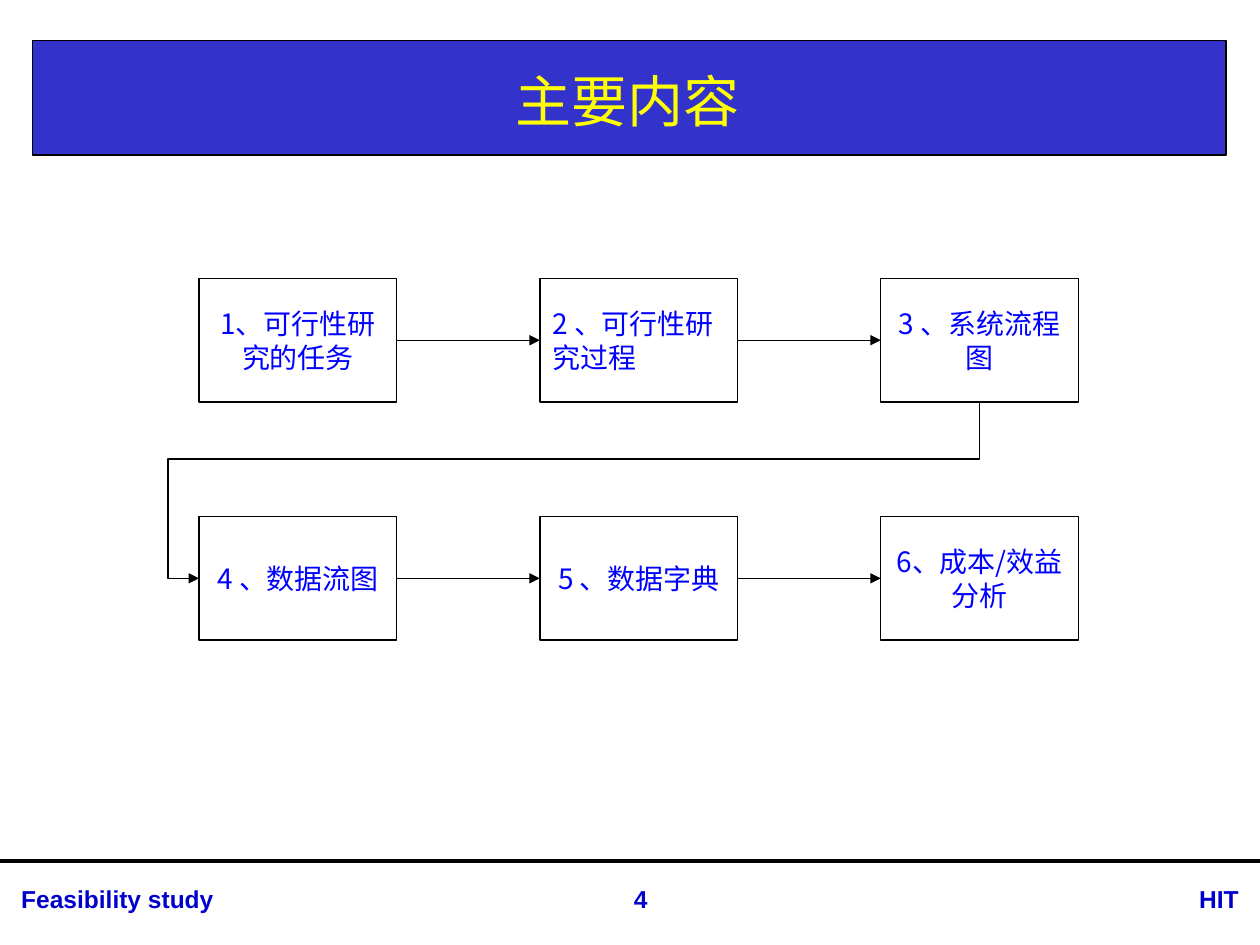
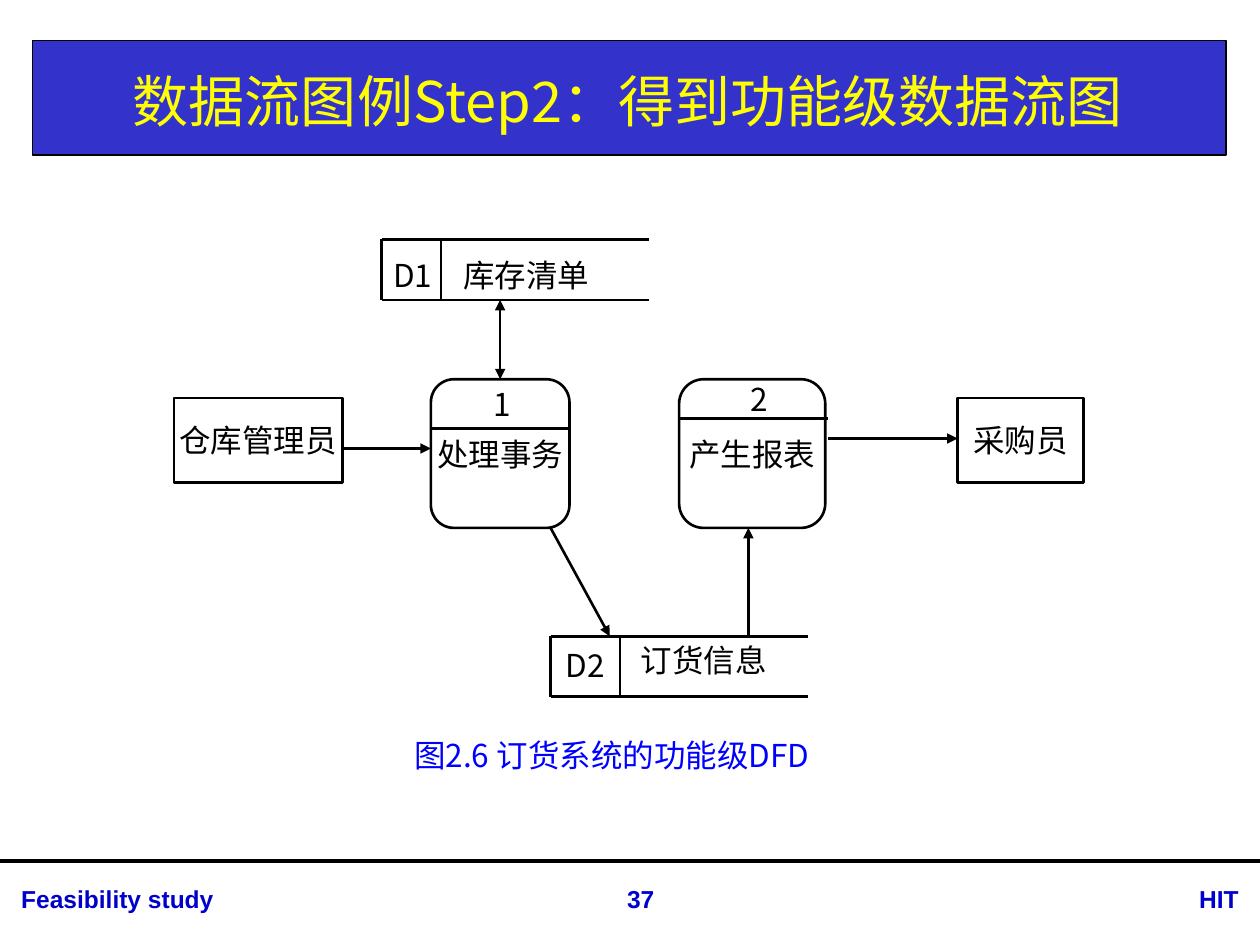
from lxml import etree
from pptx import Presentation
from pptx.dml.color import RGBColor
from pptx.enum.shapes import MSO_CONNECTOR, MSO_SHAPE
from pptx.enum.text import MSO_ANCHOR, MSO_AUTO_SIZE, PP_ALIGN
from pptx.oxml.ns import qn
from pptx.util import Inches, Pt

# Shared style
BLACK = RGBColor(0x00, 0x00, 0x00)
WHITE = RGBColor(0xFF, 0xFF, 0xFF)
BAND_BLUE = RGBColor(0x33, 0x33, 0xCC)
TITLE_YELLOW = RGBColor(0xFF, 0xFF, 0x00)
FOOTER_BLUE = RGBColor(0x00, 0x00, 0xCC)
TEXT_BLUE = RGBColor(0x00, 0x00, 0xFF)
CJK_FONT, FOOTER_FONT = "Noto Sans CJK SC", "Arial"
LEFT, CENTER, RIGHT = PP_ALIGN.LEFT, PP_ALIGN.CENTER, PP_ALIGN.RIGHT

FOOTER_TOP, FOOTER_HEIGHT = 6.97, 0.34
FOOTERS = [("Feasibility study", 0.07, 3.85, LEFT), ("HIT", 8.9, 1.03, RIGHT)]

# Contents slide: chapters in reading order, three to a row
CONTENTS_TITLE, CONTENTS_PAGE = "主要内容", "4"
CHAPTERS = [
    ("1、可行性研究的任务", CENTER),
    ("2 、可行性研究过程", LEFT),
    ("3 、系统流程图", CENTER),
    ("4 、数据流图", CENTER),
    ("5 、数据字典", CENTER),
    ("6、成本/效益分析", CENTER),
]
COLUMNS = 3
GRID_LEFT, GRID_TOP, COLUMN_STEP, ROW_STEP = 1.58, 2.21, 2.705, 1.89
CHAPTER_WIDTH, CHAPTER_HEIGHT = 1.57, 0.98

# Data flow slide
FLOW_TITLE, FLOW_PAGE = "数据流图例Step2：得到功能级数据流图", "37"
CAPTION = ("图2.6 订货系统的功能级DFD", 3.19, 5.79, 3.44, 0.4)
ENTITY_TOP, ENTITY_HEIGHT = 3.16, 0.67
ENTITIES = [("仓库管理员", 1.38, 1.34), ("采购员", 7.6, 1.0)]
PROCESS_TOP, PROCESS_HEIGHT = 3.01, 1.18
# name, left, width, divider (y, right end), number and its box
PROCESSES = [
    ("处理事务", 3.42, 1.1, (3.4, 4.52), ("1", 3.66, 3.01, 0.65, 0.4)),
    ("产生报表", 5.39, 1.16, (3.32, 6.57), ("2", 5.86, 2.97, 0.34, 0.4)),
]
STORE_HEIGHT = 0.48
# left, top, right, divider x, then code and name with their boxes
STORES = [
    (3.03, 1.9, 5.15, 3.5, ("D1", 3.01, 1.98, 0.53, 0.4), ("库存清单", 3.57, 1.98, 1.21, 0.4)),
    (4.37, 5.05, 6.41, 4.92, ("D2", 4.37, 5.08, 0.55, 0.4), ("订货信息", 4.98, 5.04, 1.21, 0.4)),
]
# start, end, arrowheads
FLOWS = [
    ((2.71, 3.56), (3.42, 3.56), ["tailEnd"]),
    ((3.97, 2.38), (3.97, 3.01), ["headEnd", "tailEnd"]),
    ((6.57, 3.48), (7.6, 3.48), ["tailEnd"]),
    ((4.37, 4.19), (4.84, 5.05), ["tailEnd"]),
    ((5.94, 5.05), (5.94, 4.19), ["tailEnd"]),
]


def write(shape, text, size, color, align=CENTER, font=CJK_FONT, bold=False,
          anchor=MSO_ANCHOR.MIDDLE, wrap=True):
    frame = shape.text_frame
    frame.text = text
    frame.word_wrap = wrap
    frame.auto_size = MSO_AUTO_SIZE.NONE
    frame.vertical_anchor = anchor
    paragraph = frame.paragraphs[0]
    paragraph.alignment = align
    for run in paragraph.runs:
        run.font.name = font
        run.font.size = Pt(size)
        run.font.bold = bold
        run.font.color.rgb = color
        east_asian = etree.SubElement(run.font._element, qn("a:ea"))
        east_asian.set("typeface", font)


def add_label(slide, text, left, top, width, height, size=18, color=BLACK, **style):
    label = slide.shapes.add_textbox(*map(Inches, (left, top, width, height)))
    write(label, text, size, color, anchor=MSO_ANCHOR.TOP, **style)
    return label


def add_box(slide, kind, left, top, width, height, fill=None, weight=0.75):
    box = slide.shapes.add_shape(kind, *map(Inches, (left, top, width, height)))
    box.shadow.inherit = False
    if fill is None:
        box.fill.background()
    else:
        box.fill.solid()
        box.fill.fore_color.rgb = fill
    box.line.color.rgb = BLACK
    box.line.width = Pt(weight)
    return box


def add_line(slide, start, end, weight=1.5, heads=(), kind=MSO_CONNECTOR.STRAIGHT):
    line = slide.shapes.add_connector(kind, *map(Inches, (*start, *end)))
    line.line.color.rgb = BLACK
    line.line.width = Pt(weight)
    for head in heads:
        etree.SubElement(line.line._ln, qn(f"a:{head}")).set("type", "triangle")
    etree.SubElement(line._element.spPr, qn("a:effectLst"))
    return line


def link(slide, source, source_site, target, target_site, kind=MSO_CONNECTOR.STRAIGHT):
    arrow = add_line(slide, (0, 0), (1, 1), 0.75, ["tailEnd"], kind)
    arrow.begin_connect(source, source_site)
    arrow.end_connect(target, target_site)
    return arrow


def wrap_to_next_row(slide, source, target):
    """Link the bottom of source to the left side of target, around the left."""
    arrow = link(slide, source, 2, target, 1, MSO_CONNECTOR.ELBOW)
    start_x, start_y = source.left + source.width // 2, source.top + source.height
    end_x, end_y = target.left, target.top + target.height // 2
    drop, run = end_y - start_y, start_x - end_x
    # The bent shape is turned by 90 degrees about its centre
    xfrm = arrow._element.spPr.find(qn("a:xfrm"))
    for flip in ("flipH", "flipV"):
        xfrm.attrib.pop(flip, None)
    xfrm.set("rot", str(90 * 60000))
    arrow.left = (start_x + end_x - drop) // 2
    arrow.top = (start_y + end_y - run) // 2
    arrow.width, arrow.height = drop, run
    geometry = arrow._element.spPr.find(qn("a:prstGeom"))
    geometry.set("prst", "bentConnector4")
    adjustments = geometry.find(qn("a:avLst"))
    if adjustments is None:
        adjustments = etree.SubElement(geometry, qn("a:avLst"))
    for name, value in (("adj1", 32400), ("adj2", 104000)):
        guide = etree.SubElement(adjustments, qn("a:gd"))
        guide.set("name", name)
        guide.set("fmla", f"val {value}")


def add_shared_parts(slide):
    """Draw band, rule and footers, then move them to the layout."""
    parts = [
        add_box(slide, MSO_SHAPE.RECTANGLE, 0.26, 0.32, 9.47, 0.91, BAND_BLUE),
        add_line(slide, (0, 6.83), (10, 6.83), 2.25),
    ]
    for text, left, width, align in FOOTERS:
        parts.append(add_label(slide, text, left, FOOTER_TOP, width, FOOTER_HEIGHT, 14,
                               FOOTER_BLUE, align=align, font=FOOTER_FONT, bold=True))
    for part in parts:
        slide.slide_layout.shapes._spTree.append(part._element)


def add_slide(deck, title, page):
    slide = deck.slides.add_slide(deck.slide_layouts[5])
    heading = slide.shapes.title
    heading.left, heading.top, heading.width, heading.height = map(
        Inches, (0.26, 0.36, 9.45, 0.87))
    write(heading, title, 32, TITLE_YELLOW)
    add_label(slide, page, 4.57, FOOTER_TOP, 1.03, FOOTER_HEIGHT, 14, FOOTER_BLUE,
              font=FOOTER_FONT, bold=True)
    return slide


def build_contents(slide):
    chapters = []
    for index, (text, align) in enumerate(CHAPTERS):
        row, column = divmod(index, COLUMNS)
        chapter = add_box(slide, MSO_SHAPE.RECTANGLE, GRID_LEFT + column * COLUMN_STEP,
                          GRID_TOP + row * ROW_STEP, CHAPTER_WIDTH, CHAPTER_HEIGHT, WHITE)
        write(chapter, text, 16, TEXT_BLUE, align)
        chapters.append(chapter)
    for index, (source, target) in enumerate(zip(chapters, chapters[1:]), 1):
        if index % COLUMNS:
            link(slide, source, 3, target, 1)
        else:
            wrap_to_next_row(slide, source, target)


def build_data_flow(slide):
    # External entities
    for name, left, width in ENTITIES:
        entity = add_box(slide, MSO_SHAPE.FLOWCHART_PROCESS, left, ENTITY_TOP, width,
                         ENTITY_HEIGHT, weight=1.5)
        write(entity, name, 18, BLACK, wrap=False)
    # Processes
    for name, left, width, (divider_y, divider_end), number in PROCESSES:
        process = add_box(slide, MSO_SHAPE.FLOWCHART_ALTERNATE_PROCESS, left, PROCESS_TOP,
                          width, PROCESS_HEIGHT, weight=1.5)
        write(process, name, 18, BLACK, wrap=False)
        add_line(slide, (left, divider_y), (divider_end, divider_y))
        add_label(slide, *number, wrap=False)
    # Data stores, open on the right
    for left, top, right, divider, code, name in STORES:
        bottom = top + STORE_HEIGHT
        for y in (top, bottom):
            add_line(slide, (left, y), (right, y))
        for x in (left, divider):
            add_line(slide, (x, top), (x, bottom))
        for label in (code, name):
            add_label(slide, *label, wrap=False)
    # Flows and caption
    for start, end, heads in FLOWS:
        add_line(slide, start, end, heads=heads)
    add_label(slide, *CAPTION, color=TEXT_BLUE, align=LEFT)


def main():
    deck = Presentation()
    deck.slide_width, deck.slide_height = Inches(10), Inches(7.5)
    contents = add_slide(deck, CONTENTS_TITLE, CONTENTS_PAGE)
    add_shared_parts(contents)
    build_contents(contents)
    build_data_flow(add_slide(deck, FLOW_TITLE, FLOW_PAGE))
    deck.save("out.pptx")


if __name__ == "__main__":
    main()
